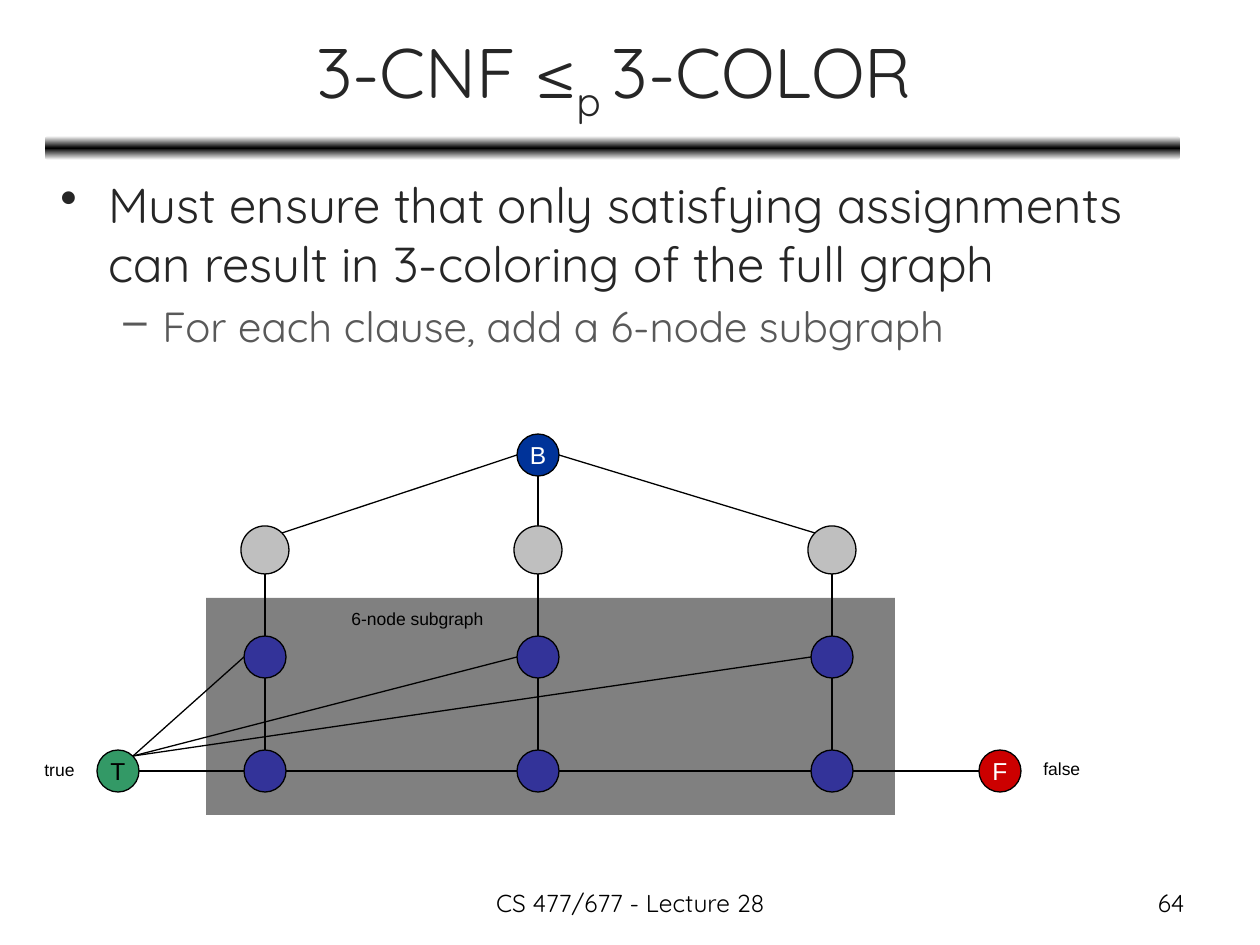
from copy import deepcopy
from dataclasses import dataclass

from lxml.etree import SubElement
from pptx import Presentation
from pptx.dml.color import RGBColor as Rgb
from pptx.enum.shapes import MSO_CONNECTOR as Connector, MSO_SHAPE as Shape
from pptx.enum.text import MSO_ANCHOR as Anchor, PP_ALIGN as Align
from pptx.oxml.ns import qn
from pptx.util import Emu, Pt

EMU_PER_INCH, PX_PER_INCH = 914400, 126


@dataclass(frozen=True)
class Theme:
    heading_font: str = "Quicksand"
    label_font: str = "Arial"
    title_size: int = 40
    body_size: int = 28
    sub_size: int = 24
    small_size: int = 14
    label_size: int = 10
    line_width: float = 0.75
    black: str = "000000"
    white: str = "FFFFFF"
    title: str = "262626"
    sub: str = "595959"
    panel: str = "808080"
    literal: str = "BFBFBF"
    clause: str = "333399"
    true: str = "339966"
    false: str = "CC0000"
    base: str = "003399"


THEME = Theme()

# Graph grid: column and row centres, node radii
COLUMNS = (265, 538, 832)
TRUE_X, FALSE_X = 118, 1000
BASE_Y, LITERAL_Y, UPPER_Y, LOWER_Y = 455, 550, 657, 771
RADIUS, LITERAL_RADIUS = 21, 24


def px(length):
    return Emu(round(length * EMU_PER_INCH / PX_PER_INCH))


def style(font, name, size, color):
    font.name, font.size = name, Pt(size)
    font.color.rgb = Rgb.from_string(color)


def add_text(page, box, text, name, size, color, align=Align.LEFT, wrap=True):
    frame = page.shapes.add_textbox(*map(px, box)).text_frame
    frame.word_wrap = wrap
    para = frame.paragraphs[0]
    para.text, para.alignment = text, align
    style(para.runs[0].font, name, size, color)
    return frame


def add_filled(page, kind, box, color):
    shape = page.shapes.add_shape(kind, *map(px, box))
    shape.shadow.inherit = False
    shape.fill.solid()
    shape.fill.fore_color.rgb = Rgb.from_string(color)
    shape.line.fill.background()
    return shape


def add_node(page, x, y, color, radius=RADIUS, letter="", letter_color=THEME.white):
    box = (x - radius, y - radius, 2 * radius, 2 * radius)
    node = add_filled(page, Shape.OVAL, box, color)
    node.line.color.rgb = Rgb.from_string(THEME.black)
    node.line.width = Pt(THEME.line_width)
    if letter:
        frame = node.text_frame
        frame.word_wrap = False
        frame.vertical_anchor = Anchor.MIDDLE
        para = frame.paragraphs[0]
        para.text, para.alignment = letter, Align.CENTER
        style(para.runs[0].font, THEME.label_font, THEME.small_size, letter_color)


def add_edge(page, start, end):
    edge = page.shapes.add_connector(Connector.STRAIGHT, *map(px, start + end))
    edge.line.color.rgb = Rgb.from_string(THEME.black)
    edge.line.width = Pt(THEME.line_width)
    SubElement(edge._element.spPr, qn("a:effectLst"))


def add_bullet(para, mark, left, hanging):
    props = para._p.get_or_add_pPr()
    props.set("marL", str(px(left)))
    props.set("indent", str(-px(hanging)))
    SubElement(props, qn("a:buChar")).set("char", mark)


def add_rule(page):
    rule = add_filled(page, Shape.ROUNDED_RECTANGLE, (45, 136, 1135, 24), THEME.black)
    rule.fill.gradient()
    rule.fill.gradient_angle = 90
    stop_list = rule._element.spPr.find(qn("a:gradFill")).find(qn("a:gsLst"))
    stop_list.append(deepcopy(stop_list[0]))
    colors = (THEME.white, THEME.black, THEME.white)
    for stop, position, color in zip(rule.fill.gradient_stops, (0, 0.5, 1), colors):
        stop.position = position
        stop.color.rgb = Rgb.from_string(color)


def add_title(page):
    look = (THEME.heading_font, THEME.title_size, THEME.title)
    frame = add_text(page, (47, 14, 1134, 125), "3-CNF ≤", *look, Align.CENTER)
    frame.vertical_anchor = Anchor.MIDDLE
    para = frame.paragraphs[0]
    for text in ("p ", "3-COLOR"):
        span = para.add_run()
        span.text = text
        style(span.font, *look)
    para.runs[1]._r.get_or_add_rPr().set("baseline", "-25000")


def add_body(page):
    frame = add_text(
        page, (48, 168, 1134, 200),
        "Must ensure that only satisfying assignments "
        "can result in 3-coloring of the full graph",
        THEME.heading_font, THEME.body_size, THEME.title)
    add_bullet(frame.paragraphs[0], "•", 48, 48)
    para = frame.add_paragraph()
    para.text = "For each clause, add a 6-node subgraph"
    para.level = 1
    para.space_before = Pt(5)
    add_bullet(para, "–", 102, 39)
    style(para.runs[0].font, THEME.heading_font, THEME.sub_size, THEME.sub)


def add_edges(page):
    # The bottom row is one chain from T to F
    chain = (TRUE_X, *COLUMNS, FALSE_X)
    for left, right in zip(chain, chain[1:]):
        add_edge(page, (left + RADIUS, LOWER_Y), (right - RADIUS, LOWER_Y))
    # Each column runs down from its literal, and T reaches its upper node
    corner = round(RADIUS * 0.71)
    for x in COLUMNS:
        add_edge(page, (x, LITERAL_Y + LITERAL_RADIUS), (x, UPPER_Y - RADIUS))
        add_edge(page, (x, UPPER_Y + RADIUS), (x, LOWER_Y - RADIUS))
        add_edge(page, (TRUE_X + corner, LOWER_Y - corner), (x - RADIUS, UPPER_Y))
    # B reaches all three literals
    left, middle, right = COLUMNS
    corner = round(LITERAL_RADIUS * 0.71)
    add_edge(page, (middle - RADIUS, BASE_Y), (left + corner, LITERAL_Y - corner))
    add_edge(page, (middle, BASE_Y + RADIUS), (middle, LITERAL_Y - LITERAL_RADIUS))
    add_edge(page, (middle + RADIUS, BASE_Y), (right - corner, LITERAL_Y - corner))


def add_graph(page):
    add_filled(page, Shape.RECTANGLE, (206, 598, 689, 217), THEME.panel)
    add_edges(page)
    for x in COLUMNS:
        add_node(page, x, LITERAL_Y, THEME.literal, LITERAL_RADIUS)
        add_node(page, x, UPPER_Y, THEME.clause)
        add_node(page, x, LOWER_Y, THEME.clause)
    add_node(page, COLUMNS[1], BASE_Y, THEME.base, letter="B")
    add_node(page, TRUE_X, LOWER_Y, THEME.true, letter="T", letter_color=THEME.black)
    add_node(page, FALSE_X, LOWER_Y, THEME.false, letter="F")
    labels = (
        ("6-node subgraph", (339, 602, 158, 34)),
        ("true", (32, 753, 59, 38)),
        ("false", (1031, 752, 64, 38)),
    )
    for text, box in labels:
        add_text(page, box, text, THEME.label_font, THEME.label_size, THEME.black, wrap=False)


def add_footer(page):
    look = (THEME.heading_font, THEME.small_size, THEME.black)
    add_text(page, (431, 882, 399, 44), "CS 477/677 - Lecture 28", *look, Align.CENTER)
    add_text(page, (903, 882, 294, 44), "64", *look, Align.RIGHT)


def main():
    deck = Presentation()
    deck.slide_width, deck.slide_height = px(1260), px(945)
    page = deck.slides.add_slide(deck.slide_layouts[6])
    add_rule(page)
    add_title(page)
    add_body(page)
    add_graph(page)
    add_footer(page)
    deck.save("out.pptx")


if __name__ == "__main__":
    main()
